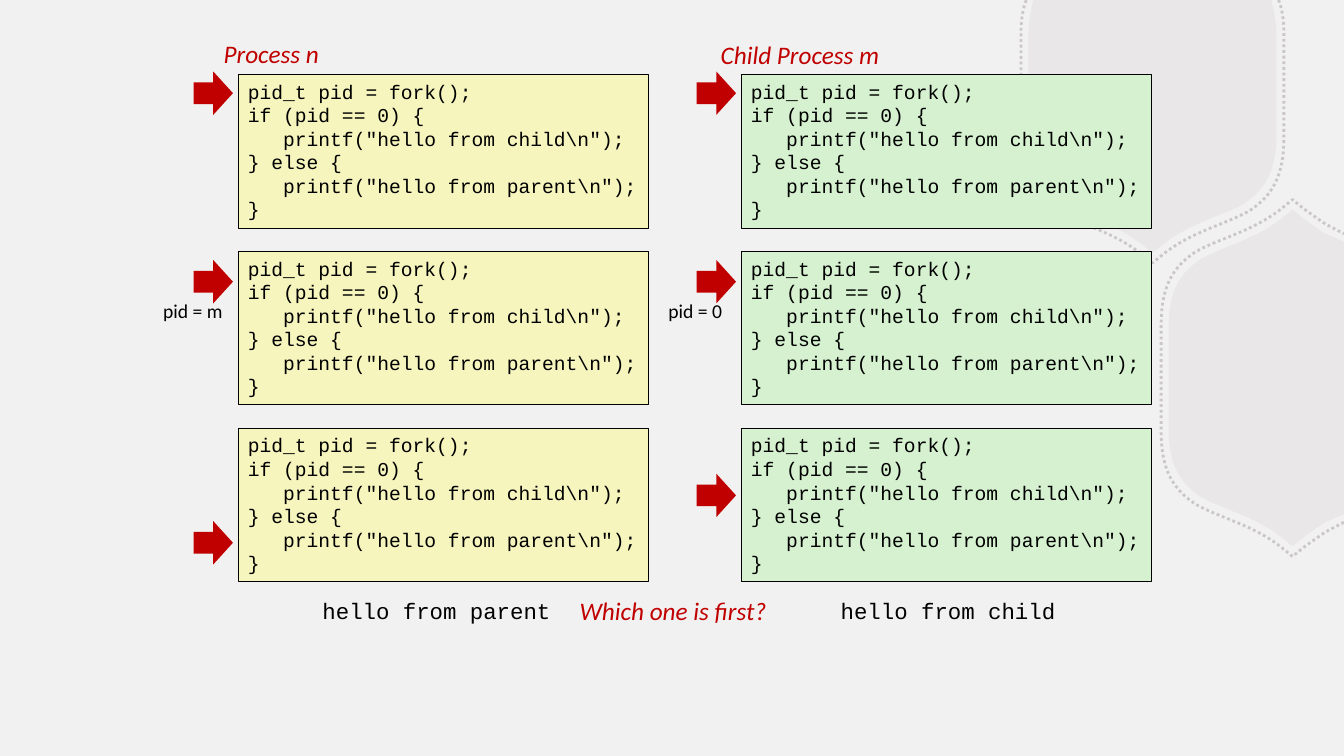
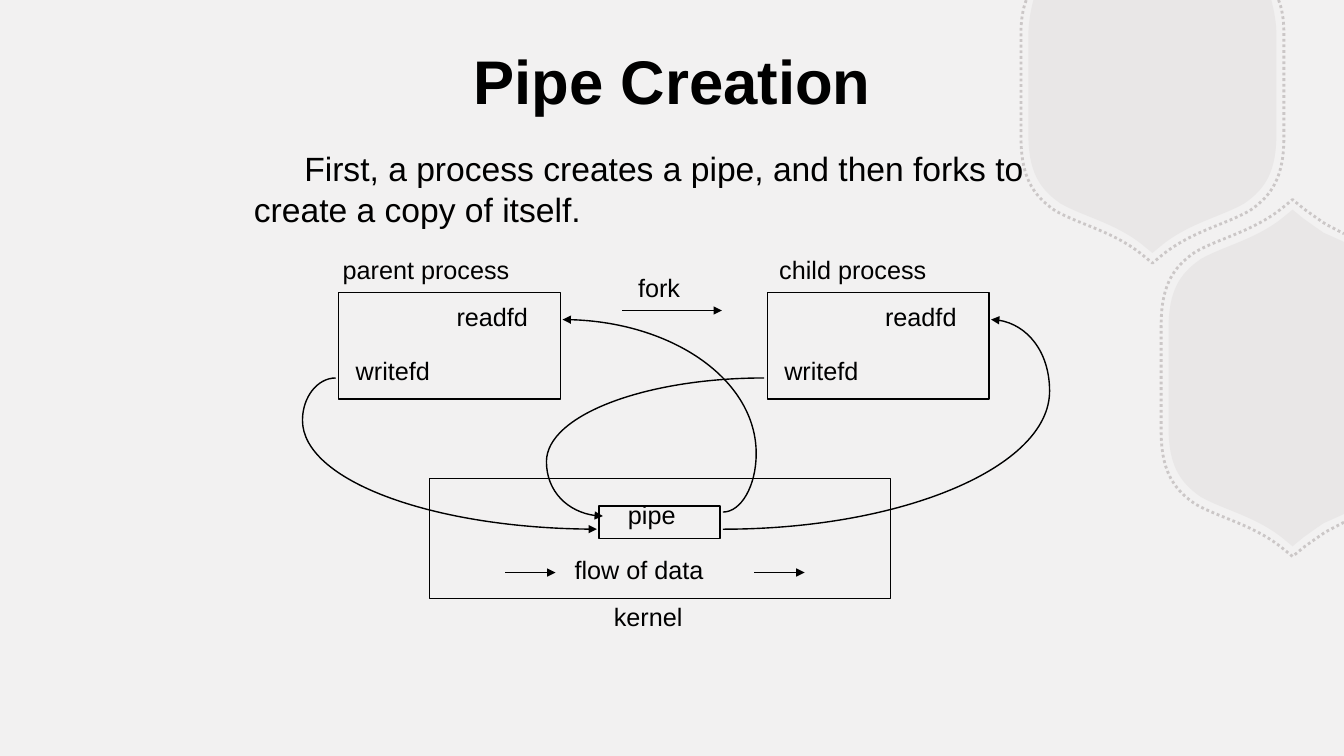
import dataclasses
import typing

import lxml.etree
import pptx
import pptx.dml.color
import pptx.enum.dml
import pptx.enum.shapes
import pptx.enum.text
import pptx.oxml.ns
import pptx.util

Inches = pptx.util.Inches
Pt = pptx.util.Pt
qn = pptx.oxml.ns.qn
Kind = pptx.enum.shapes.MSO_SHAPE
Align = pptx.enum.text.PP_ALIGN
Anchor = pptx.enum.text.MSO_ANCHOR

BLACK, RED, PAPER, HAZE = "000000", "C00000", "F2F1F1", "B8B2B2"
WIDE, HIGH = 13.33, 7.5
LEAD = 1.2  # line pitch as a multiple of the font size

Point = tuple[float, float]
Points = list[Point]  # a start point, then two controls and an end per curve


class Style(typing.NamedTuple):
    font: str
    size: int
    color: str = BLACK
    bold: bool = False
    italic: bool = False


class Label(typing.NamedTuple):
    text: str
    x: float
    y: float
    w: float
    h: float = 0.4


class Arc(typing.NamedTuple):
    """An arrow that leaves level, turns upright at the bend and ends level."""
    start: Point
    bend: Point
    end: Point


@dataclasses.dataclass
class Process:
    title: Label
    x: float
    fill: str
    pid: Label
    steps: tuple[float, ...]
    output: Label


CODE = Style("Courier New", 14)
OUTPUT = Style("Courier New", 16)
NOTE = Style("Calibri", 18, RED, italic=True)
VALUE = Style("Calibri", 14)
TITLE = Style("Arial", 44, bold=True)
BODY = Style("Arial", 24)
TAG = Style("Arial", 18)


def rgb(color: str) -> pptx.dml.color.RGBColor:
    return pptx.dml.color.RGBColor.from_string(color)


def paint(shape, fill: str | None = None, line: str | None = None, width: float = 1) -> None:
    shape.shadow.inherit = False
    if fill:
        shape.fill.solid()
        shape.fill.fore_color.rgb = rgb(fill)
    else:
        shape.fill.background()
    if line:
        shape.line.color.rgb = rgb(line)
        shape.line.width = Pt(width)
    else:
        shape.line.fill.background()


def fade(shape, percent: int) -> None:
    """Make the one colour of a shape partly transparent."""
    color = next(shape.element.spPr.iter(qn("a:srgbClr")))
    lxml.etree.SubElement(color, qn("a:alpha"), val=str(percent * 1000))


def point(shape) -> None:
    """Put an arrowhead at the end of a line."""
    line = shape.element.spPr.find(qn("a:ln"))
    lxml.etree.SubElement(line, qn("a:tailEnd"), type="triangle")


def write(frame, text: str, style: Style, wrap: bool = False) -> None:
    frame.word_wrap = wrap
    frame.vertical_anchor = Anchor.TOP
    frame.text = text
    for par in frame.paragraphs:
        par.alignment = Align.LEFT
        font = par.font
        font.name, font.size = style.font, Pt(style.size)
        font.bold, font.italic = style.bold, style.italic
        font.color.rgb = rgb(style.color)


def label(slide, item: Label, style: Style, wrap: bool = False):
    box = slide.shapes.add_textbox(*map(Inches, item[1:]))
    write(box.text_frame, item.text, style, wrap)
    return box.text_frame


def block(slide, kind, x: float, y: float, w: float, h: float):
    return slide.shapes.add_shape(kind, *map(Inches, (x, y, w, h)))


def frame(slide, x: float, y: float, w: float, h: float) -> None:
    paint(block(slide, Kind.RECTANGLE, x, y, w, h), line=BLACK)


def arrow(slide, x: float, y: float, length: float) -> None:
    line = slide.shapes.add_connector(
        pptx.enum.shapes.MSO_CONNECTOR.STRAIGHT,
        *map(Inches, (x, y, x + length, y)))
    line.line.color.rgb = rgb(BLACK)
    line.line.width = Pt(1)
    point(line)
    lxml.etree.SubElement(line.element.spPr, qn("a:effectLst"))


def curve(slide, points: Points, close: bool = False):
    """Draw a chain of Bezier curves."""
    spots = [(Inches(x), Inches(y)) for x, y in points]
    pen = slide.shapes.build_freeform(*spots[0])
    pen.add_line_segments(spots[3::3], close=close)
    shape = pen.convert_to_shape()
    for i, part in enumerate(list(shape.element.iter(qn("a:lnTo")))):
        part.clear()
        part.tag = qn("a:cubicBezTo")
        for x, y in spots[3 * i + 1:3 * i + 4]:
            lxml.etree.SubElement(part, qn("a:pt"),
                                  x=str(x - shape.left), y=str(y - shape.top))
    return shape


def join(first: Points, last: Points) -> Points:
    """Link two chains by a straight line."""
    return first + [first[-1], last[0]] + last


def flip(points: Points, across: int, down: int) -> Points:
    """Mirror a chain and reverse its direction."""
    return [(x * across, y * down) for x, y in reversed(points)]


def bend(arc: Arc) -> Points:
    (ax, ay), (bx, by), (cx, cy) = arc
    k = 0.55
    return [arc.start, (ax + k * (bx - ax), ay), (bx, by + k * (ay - by)),
            arc.bend, (bx, by + k * (cy - by)), (cx + k * (bx - cx), cy), arc.end]


# Hexagon outline, measured from its centre
SIDE = [(1.23, 0.49), (1.23, 0.85), (1.13, 1.03), (0.91, 1.18),
        (0.68, 1.31), (0.38, 1.37), (0.11, 1.58),
        (0.11, 1.58), (0, 1.67), (0, 1.67)]
CAP = [(1.18, -0.84), (1.21, -0.72), (1.23, -0.61), (1.23, -0.49)]
CUT = join([(0.51, 1.35)], [(0.31, 1.44), (0.25, 1.48), (0.18, 1.53), (0.11, 1.58),
                            (0.11, 1.58), (0, 1.67), (0, 1.67)])
HALF = join(CAP, SIDE)
FLANK = CUT + flip(SIDE, -1, 1)[1:]
CELLS = [
    (11.43, 0.84, HALF + flip(HALF, -1, 1)[1:]),
    (12.82, 3.75, join(FLANK, flip(FLANK, 1, -1))),
]


def place(points: Points, x: float, y: float, scale: float) -> Points:
    """Scale an outline about its centre and keep it on the slide."""
    return [(min(WIDE, x + u * scale), max(0, y + v * scale)) for u, v in points]


def comb(slide) -> None:
    """Put the background and its hexagons on the layout of a slide."""
    layout = slide.slide_layout
    layout.background.fill.solid()
    layout.background.fill.fore_color.rgb = rgb(PAPER)
    for x, y, points in CELLS:
        cell = curve(slide, place(points, x, y, 1), close=True)
        paint(cell, fill=HAZE)
        fade(cell, 15)
        rim = curve(slide, place(points, x, y, 1.06))
        paint(rim, line=HAZE, width=2)
        rim.line.dash_style = pptx.enum.dml.MSO_LINE.ROUND_DOT
        fade(rim, 65)
        for shape in (cell, rim):
            layout.element.cSld.spTree.append(shape.element)


SOURCE = r"""pid_t pid = fork();
if (pid == 0) {
   printf("hello from child\n");
} else {
   printf("hello from parent\n");
}"""

TASKS = [
    Process(Label("Process n", 2.12, 0.33, 1.15), 2.36, "F6F5BD",
            Label("pid = m", 1.52, 2.92, 0.79, 0.34), (0.71, 2.58, 5.17),
            Label("hello from parent", 3.1, 5.88, 2.49, 0.37)),
    Process(Label("Child Process m", 7.05, 0.34, 1.79), 7.35, "D5F1CF",
            Label("pid = 0", 6.53, 2.92, 0.74, 0.34), (0.71, 2.58, 4.7),
            Label("hello from child", 8.24, 5.88, 2.36, 0.37)),
]


def fork(slide) -> None:
    for task in TASKS:
        for row, step in enumerate(task.steps):
            box = block(slide, Kind.RECTANGLE, task.x, 0.74 + 1.755 * row, 4.07, 1.52)
            paint(box, task.fill, BLACK, 0.25)
            write(box.text_frame, SOURCE, CODE)
            for par in box.text_frame.paragraphs:
                par.line_spacing = Pt(CODE.size * LEAD)
            paint(block(slide, Kind.RIGHT_ARROW, task.x - 0.44, step, 0.39, 0.43), RED)
        label(slide, task.title, NOTE)
        label(slide, task.pid, VALUE)
        label(slide, task.output, OUTPUT)
    label(slide, Label("Which one is first?", 5.65, 5.86, 2.07), NOTE)


TAGS = [
    Label("pipe", 6.13, 4.9, 0.68),
    Label("flow of data", 5.6, 5.45, 1.49),
    Label("kernel", 5.99, 5.92, 0.89),
    Label("parent process", 3.3, 2.47, 1.87),
    Label("child process", 7.63, 2.47, 1.68),
    Label("fork", 6.23, 2.65, 0.62),
]
ARCS = [
    Arc((3.33, 3.75), (3, 4.17), (5.92, 5.25)),
    Arc((7.58, 3.75), (5.42, 4.58), (5.98, 5.12)),
    Arc((7.17, 5.08), (7.5, 4.5), (5.58, 3.17)),
    Arc((7.17, 5.25), (10.41, 3.88), (9.83, 3.17)),
]


def pipe(slide) -> None:
    title = label(slide, Label("Pipe Creation", 2.42, 0.17, 8.5, 1.25), TITLE, True)
    title.vertical_anchor = Anchor.MIDDLE
    title.paragraphs[0].alignment = Align.CENTER
    body = label(slide, Label("First, a process creates a pipe, and then forks to "
                              "create a copy of itself.", 2.42, 1.42, 8.5, 1.41), BODY, True)
    par = body.paragraphs[0]
    par.line_spacing = Pt(BODY.size * LEAD)
    par._p.get_or_add_pPr().set("indent", str(Inches(0.5)))

    frame(slide, 4.26, 4.75, 4.57, 1.19)
    frame(slide, 5.94, 5.02, 1.2, 0.32)
    for x in (3.36, 7.61):
        frame(slide, x, 2.9, 2.2, 1.06)
        label(slide, Label("readfd", x + 1.07, 2.94, 0.92), TAG)
        label(slide, Label("writefd", x + 0.07, 3.48, 0.95), TAG)
    for tag in TAGS:
        label(slide, tag, TAG)
    for arc in ARCS:
        line = curve(slide, bend(arc))
        paint(line, line=BLACK)
        point(line)
    for x, y, length in ((5.01, 5.68, 0.5), (7.48, 5.68, 0.5), (6.17, 3.08, 0.99)):
        arrow(slide, x, y, length)


def main() -> None:
    deck = pptx.Presentation()
    deck.slide_width, deck.slide_height = Inches(WIDE), Inches(HIGH)
    blank = deck.slide_layouts[6]
    first, second = (deck.slides.add_slide(blank) for _ in range(2))
    comb(first)
    fork(first)
    pipe(second)
    deck.save("out.pptx")


if __name__ == "__main__":
    main()
